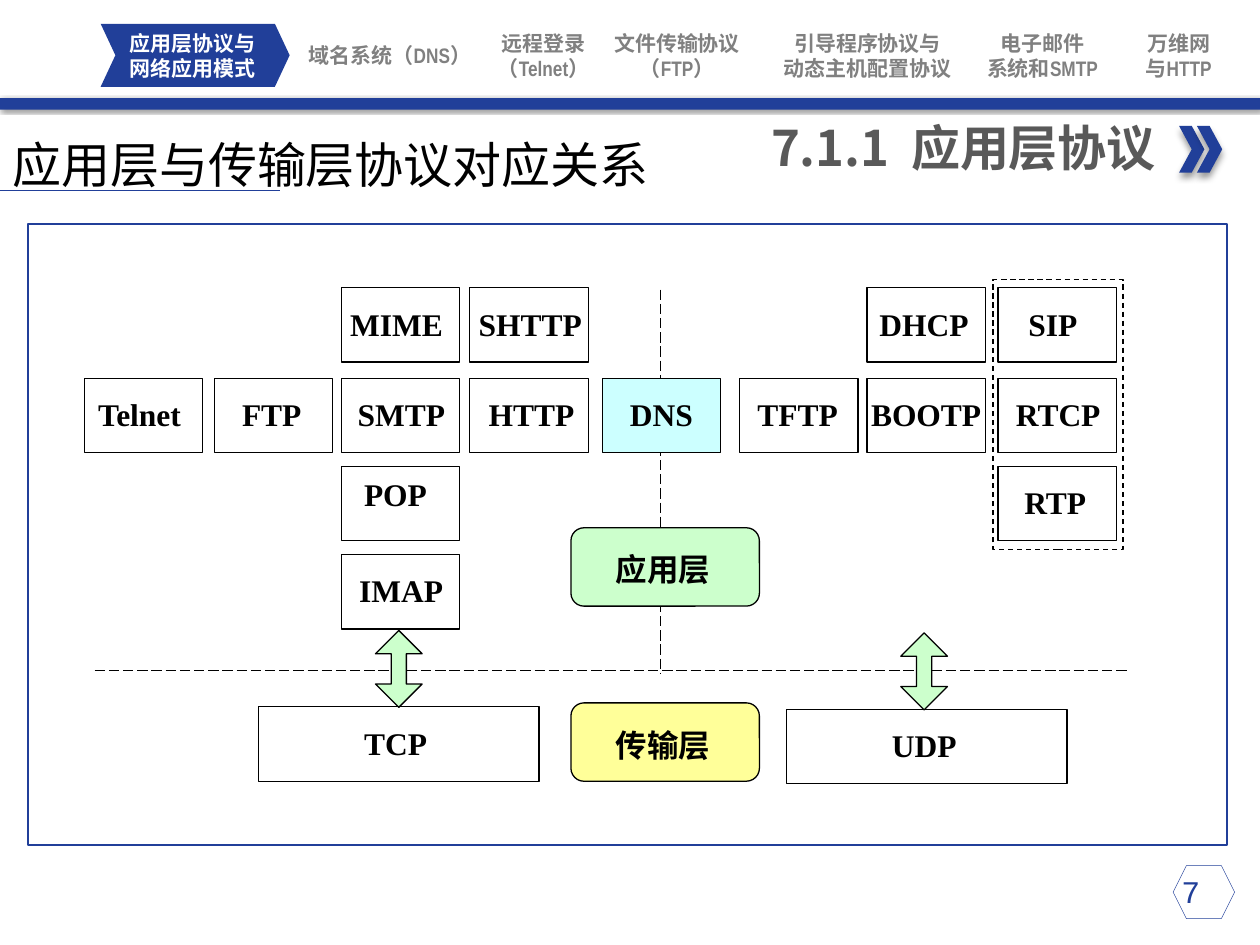
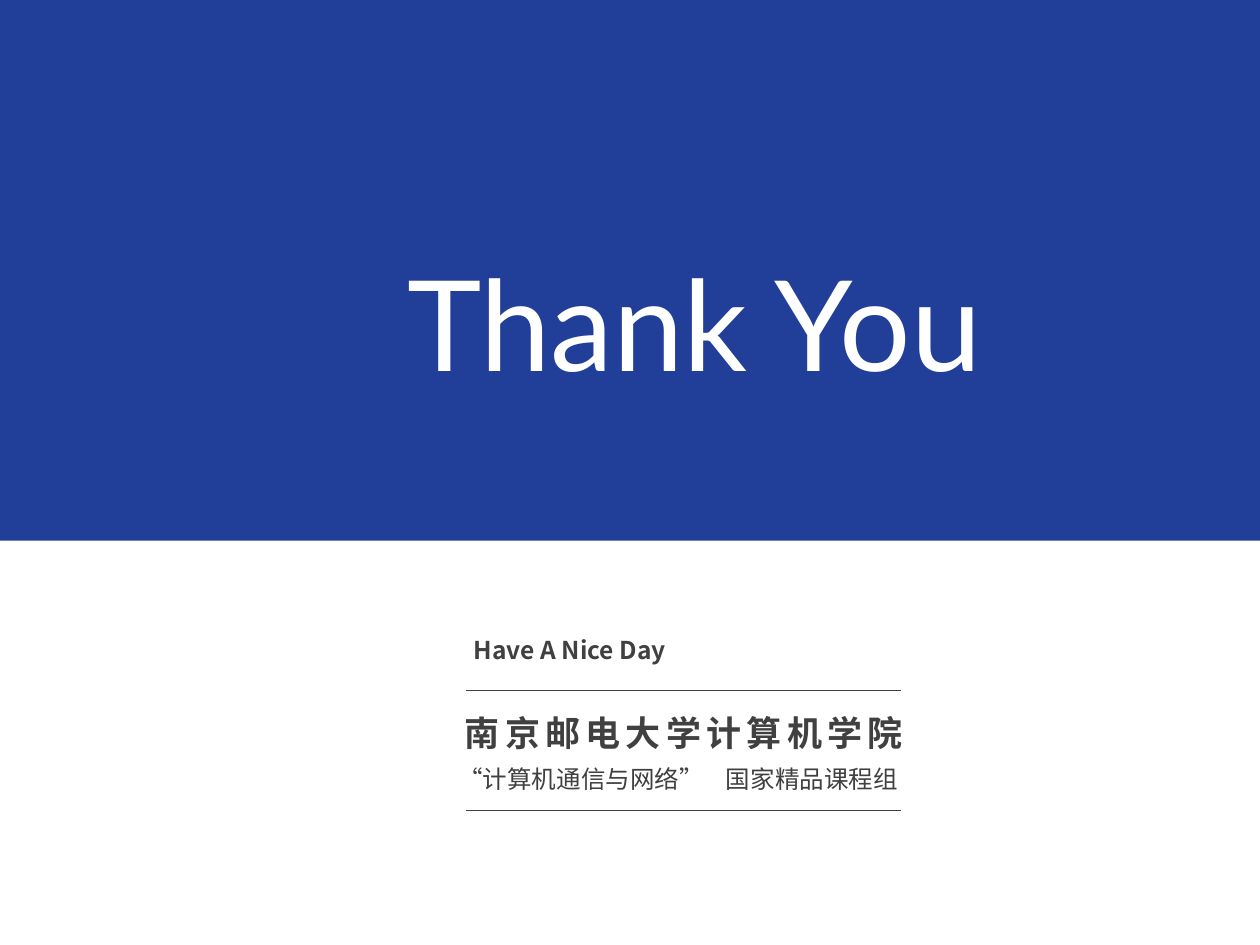
from dataclasses import dataclass

import pptx
import pptx.dml.color
import pptx.enum.dml
import pptx.enum.shapes
import pptx.enum.text
import pptx.oxml.ns
import pptx.util
from lxml import etree

Cm = pptx.util.Cm
Pt = pptx.util.Pt
Shape = pptx.enum.shapes.MSO_SHAPE
Align = pptx.enum.text.PP_ALIGN
Anchor = pptx.enum.text.MSO_ANCHOR
Dash = pptx.enum.dml.MSO_LINE
qn = pptx.oxml.ns.qn

PAGE_WIDTH, PAGE_HEIGHT = 25.4, 19.05
TEXT_INSETS = (0.25, 0.13, 0.25, 0.13)


@dataclass(frozen=True)
class Theme:
    blue: str = "213F99"
    white: str = "FFFFFF"
    black: str = "000000"
    muted: str = "808080"
    heading_gray: str = "595959"
    dark_gray: str = "404040"
    cyan: str = "CCFFFF"
    green: str = "CCFFCC"
    yellow: str = "FFFF99"
    sans: str = "Noto Sans CJK SC"
    serif: str = "Times New Roman"
    narrow: str = "Arial Narrow"
    mono: str = "Courier New"
    display: str = "Lato"
    navigation_size: int = 12
    small_size: int = 14
    label_size: int = 18
    school_size: int = 20
    heading_size: int = 28
    display_size: int = 72


@dataclass(frozen=True)
class TextStyle:
    size: int
    font: str
    color: str
    bold: bool = False


class Deck:
    """Holds the theme and the slide being built; lengths are in centimetres."""

    def __init__(self, theme):
        self.theme = theme
        self.presentation = pptx.Presentation()
        self.presentation.slide_width = Cm(PAGE_WIDTH)
        self.presentation.slide_height = Cm(PAGE_HEIGHT)
        self.slide = None

    def new_slide(self):
        title_only = self.presentation.slide_layouts[5]
        self.slide = self.presentation.slides.add_slide(title_only)

    @staticmethod
    def rgb(color):
        return pptx.dml.color.RGBColor.from_string(color)

    def add_run(self, paragraph, text, style, spacing=0):
        run = paragraph.add_run()
        run.text = text
        font = run.font
        font.size, font.name, font.bold = Pt(style.size), style.font, style.bold
        font.color.rgb = self.rgb(style.color)
        properties = run._r.get_or_add_rPr()
        etree.SubElement(properties, qn("a:ea"), typeface=self.theme.sans)
        if spacing:
            properties.set("spc", str(round(spacing * 100)))

    def fill_text(self, shape, lines, style, align=Align.LEFT,
                  anchor=Anchor.TOP, insets=TEXT_INSETS):
        """Each line is a list of runs, each run a (text, letter spacing) pair."""
        frame = shape.text_frame
        frame.word_wrap = True
        frame.auto_size = pptx.enum.text.MSO_AUTO_SIZE.NONE
        frame.vertical_anchor = anchor
        (frame.margin_left, frame.margin_top,
         frame.margin_right, frame.margin_bottom) = map(Cm, insets)
        for index, runs in enumerate(lines):
            paragraph = frame.add_paragraph() if index else frame.paragraphs[0]
            paragraph.alignment = align
            for text, spacing in runs:
                self.add_run(paragraph, text, style, spacing)

    def text(self, box, lines, style, **layout):
        shape = self.slide.shapes.add_textbox(*map(Cm, box))
        self.fill_text(shape, lines, style, **layout)

    def title(self, box, text, style, **layout):
        shape = self.slide.shapes.title
        shape.left, shape.top, shape.width, shape.height = map(Cm, box)
        self.fill_text(shape, [[(text, 0)]], style, **layout)
        return shape.text_frame.paragraphs[0]

    def shape(self, kind, box, fill=None, line=None, width=0.75, dash=None,
              adjustments=(), shadow=None):
        shape = self.slide.shapes.add_shape(kind, *map(Cm, box))
        shape.shadow.inherit = False
        for index, value in enumerate(adjustments):
            shape.adjustments[index] = value
        if fill:
            shape.fill.solid()
            shape.fill.fore_color.rgb = self.rgb(fill)
        else:
            shape.fill.background()
        if line:
            self.stroke(shape.line, line, width, dash)
        else:
            shape.line.fill.background()
        if shadow:
            self.drop_shadow(shape, *shadow)
        return shape

    def drop_shadow(self, shape, blur, distance, angle):
        effects = shape._element.spPr.find(qn("a:effectLst"))
        outer = etree.SubElement(
            effects, qn("a:outerShdw"), blurRad=str(Pt(blur)), dist=str(Pt(distance)),
            dir=str(angle * 60000), algn="t", rotWithShape="0")
        color = etree.SubElement(outer, qn("a:srgbClr"), val=self.theme.black)
        etree.SubElement(color, qn("a:alpha"), val="40000")

    def stroke(self, line, color, width, dash=None):
        line.color.rgb = self.rgb(color)
        line.width = Pt(width)
        if dash:
            line.dash_style = dash

    def line(self, start, end, color, width, dash=None):
        connector = self.slide.shapes.add_connector(
            pptx.enum.shapes.MSO_CONNECTOR.STRAIGHT, *map(Cm, start + end))
        self.stroke(connector.line, color, width, dash)
        etree.SubElement(connector._element.spPr, qn("a:effectLst"))

    def labelled_box(self, box, label, left, top=0.34, fill=None, kind=Shape.RECTANGLE):
        theme = self.theme
        shape = self.shape(kind, box, fill or theme.white, theme.black)
        style = TextStyle(theme.label_size, theme.serif, theme.black, True)
        self.fill_text(shape, [[(label, 0)]], style, insets=(left, top, 0, 0))


# Chapter sections in the top navigation: left, width, lines
SECTIONS = [
    (2.18, 3.40, ["应用层协议与", "网络应用模式"]),
    (6.02, 3.68, ["域名系统（DNS）"]),
    (9.12, 3.68, ["远程登录", "（Telnet）"]),
    (11.81, 3.68, ["文件传输协议", "（FTP）"]),
    (15.65, 3.68, ["引导程序协议与", "动态主机配置协议"]),
    (19.02, 3.99, ["电子邮件", "系统和SMTP"]),
    (22.12, 3.28, ["万维网", "与HTTP"]),
]

# Protocol grid: label, column, row, label inset
COLUMNS = [1.70, 4.32, 6.88, 9.47, 12.14, 14.91, 17.48, 20.12]
ROWS = [5.80, 7.63, 9.40, 11.18]
BOX_WIDTH, BOX_HEIGHT = 2.39, 1.50
PROTOCOLS = [
    ("MIME", 2, 0, 0.18), ("SHTTP", 3, 0, 0.18),
    ("DHCP", 6, 0, 0.25), ("SIP", 7, 0, 0.61),
    ("Telnet", 0, 1, 0.28), ("FTP", 1, 1, 0.56), ("SMTP", 2, 1, 0.33),
    ("HTTP", 3, 1, 0.38), ("DNS", 4, 1, 0.56), ("TFTP", 5, 1, 0.36),
    ("BOOTP", 6, 1, 0.08), ("RTCP", 7, 1, 0.36),
    ("POP", 2, 2, 0.46), ("RTP", 7, 2, 0.53),
    ("IMAP", 2, 3, 0.36),
]


def add_navigation(deck):
    theme = deck.theme
    deck.shape(Shape.RECTANGLE, (0, 1.98, PAGE_WIDTH, 0.23), theme.blue, shadow=(2, 1, 45))
    deck.shape(Shape.CHEVRON, (2.03, 0.48, 3.81, 1.27), theme.blue, adjustments=[0.234])
    for index, (left, width, lines) in enumerate(SECTIONS):
        color = theme.muted if index else theme.white
        deck.text((left, 0.61, width, 1.02), [[(line, 0)] for line in lines],
                  TextStyle(theme.navigation_size, theme.narrow, color, True),
                  align=Align.CENTER, anchor=Anchor.MIDDLE, insets=(0, 0, 0, 0))


def add_headings(deck):
    theme = deck.theme
    for left in (23.77, 24.13):
        deck.shape(Shape.CHEVRON, (left, 2.54, 0.51, 0.94), theme.blue, shadow=(4, 3, 90))
    deck.text((1.93, 2.24, 21.62, 1.45),
              [[("7.1.1", 0), (" ", 6), ("应用层协议", 0)]],
              TextStyle(theme.heading_size, theme.sans, theme.heading_gray, True),
              align=Align.RIGHT)
    paragraph = deck.title((0, 1.98, 13.64, 2.06), "应用层与传输层协议对应关系",
                           TextStyle(theme.heading_size, theme.serif, theme.black))
    paragraph.line_spacing = 1.5
    paragraph.space_before = Pt(6)
    deck.line((0, 3.84), (5.64, 3.84), theme.blue, 0.5)


def add_page_number(deck):
    theme = deck.theme
    deck.shape(Shape.HEXAGON, (23.65, 17.45, 1.24, 1.07), line=theme.blue, width=0.25)
    deck.text((22.90, 17.45, 2.21, 1.02), [[("7", 0)]],
              TextStyle(theme.label_size, theme.mono, theme.blue), align=Align.CENTER)


def add_protocol_map(deck):
    theme = deck.theme
    deck.shape(Shape.RECTANGLE, (0.56, 4.52, 24.18, 12.52), line=theme.blue, width=1)

    # Dividers between TCP and UDP, and between the two layers
    deck.line((13.31, 5.84), (13.31, 13.59), theme.black, 0.75, Dash.LONG_DASH)
    deck.line((1.91, 13.51), (22.71, 13.51), theme.black, 0.75, Dash.LONG_DASH)

    # Application protocols
    for label, column, row, left in PROTOCOLS:
        deck.labelled_box((COLUMNS[column], ROWS[row], BOX_WIDTH, BOX_HEIGHT), label, left,
                          top=0.18 if label == "POP" else 0.34,
                          fill=theme.cyan if label == "DNS" else None)
    deck.shape(Shape.RECTANGLE, (20.02, 5.64, 2.62, 5.44), line=theme.black, dash=Dash.DASH)

    # Transport protocols and the arrows up to the application layer
    for label, left, top, arrow_left in (("TCP", 5.21, 14.25, 7.57),
                                         ("UDP", 15.85, 14.30, 18.16)):
        deck.labelled_box((left, top, 5.66, BOX_HEIGHT), label, 2.13)
        deck.shape(Shape.UP_DOWN_ARROW, (arrow_left, top - 1.54, 0.94, 1.55),
                   theme.green, theme.black, adjustments=[0.5, 0.327])

    # Layer names
    for label, top, fill in (("应用层", 10.64, theme.green), ("传输层", 14.17, theme.yellow)):
        deck.labelled_box((11.51, top, 3.80, 1.58), label, 0.83, 0.38, fill,
                          Shape.ROUNDED_RECTANGLE)


def build_protocol_slide(deck):
    deck.new_slide()
    add_navigation(deck)
    add_headings(deck)
    add_protocol_map(deck)
    add_page_number(deck)


def build_closing_slide(deck):
    theme = deck.theme
    deck.new_slide()
    band = deck.shape(Shape.RECTANGLE, (0, 0, PAGE_WIDTH, 10.90), theme.blue)
    deck.slide.shapes.title._element.addprevious(band._element)
    deck.title((6.12, 4.72, 15.75, 3.51), "Thank You",
               TextStyle(theme.display_size, theme.display, theme.white),
               align=Align.CENTER, anchor=Anchor.MIDDLE)

    # Greeting and course team between two rules
    deck.text((9.30, 12.67, 8.86, 0.86), [[("Have A Nice Day", 0)]],
              TextStyle(theme.small_size, theme.sans, theme.dark_gray, True))
    deck.text((9.12, 14.22, 10.00, 1.12), [[("南京邮电大学计算机学院", 3)]],
              TextStyle(theme.school_size, theme.sans, theme.dark_gray, True))
    deck.text((8.99, 15.27, 9.65, 0.86),
              [[("“计算机通信与网络”", 0), (" ", 9.4), ("国家精品课程组", 0)]],
              TextStyle(theme.small_size, theme.sans, theme.dark_gray))
    for top in (13.92, 16.33):
        deck.line((9.40, top), (18.16, top), theme.dark_gray, 0.5)


def main():
    deck = Deck(Theme())
    build_protocol_slide(deck)
    build_closing_slide(deck)
    deck.presentation.save("out.pptx")


if __name__ == "__main__":
    main()
